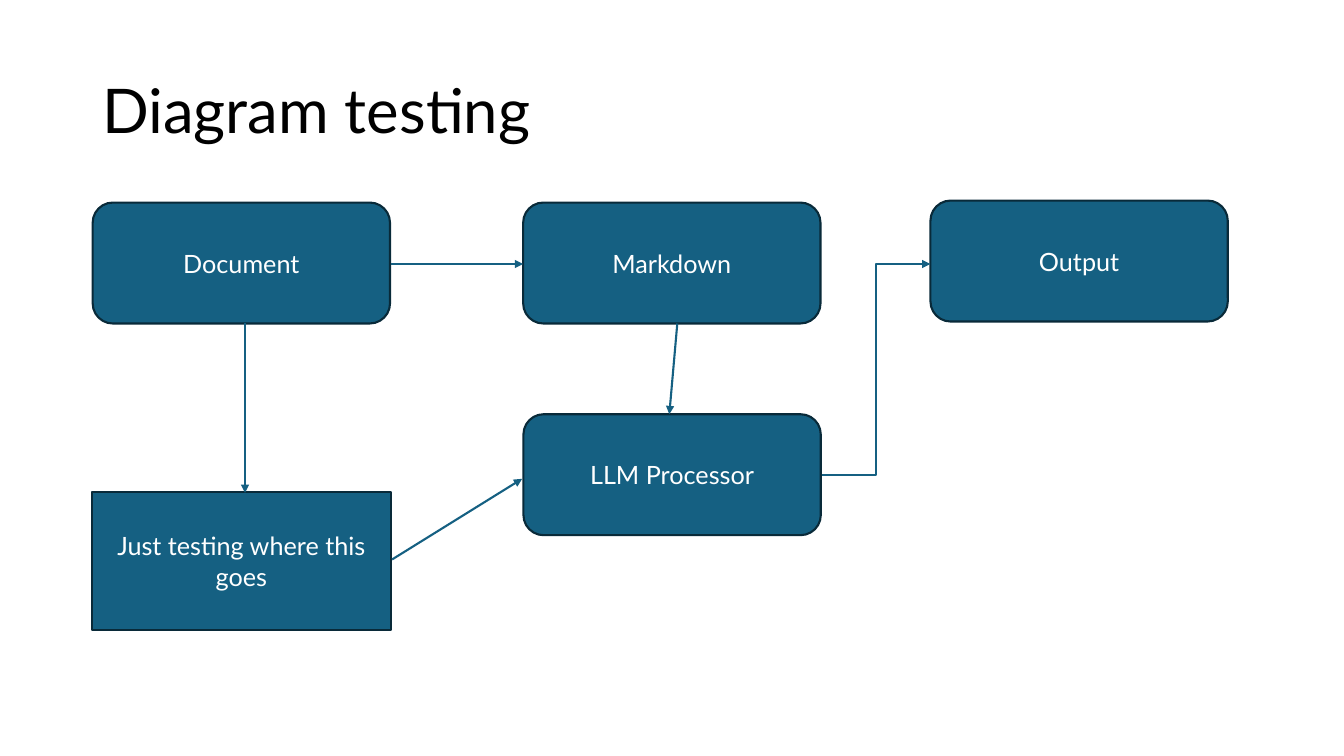
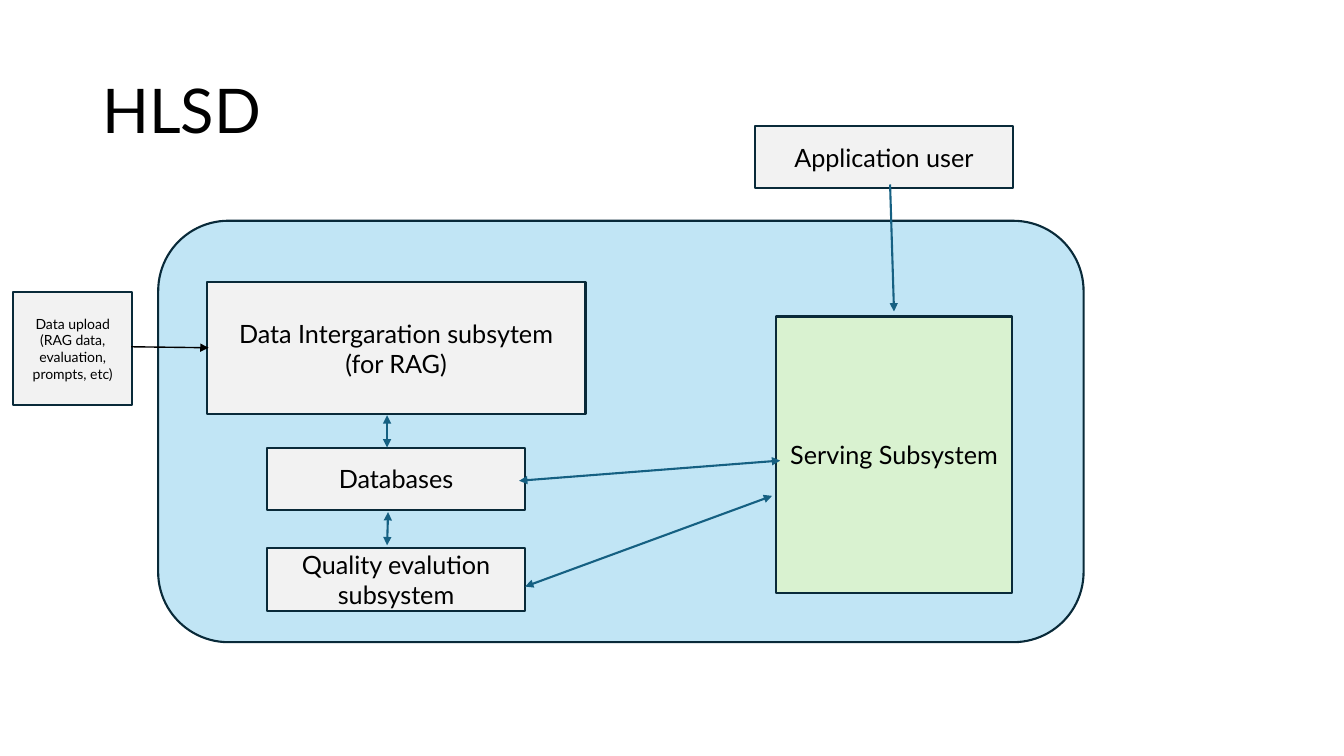
"""Build two diagram slides made of labelled boxes and arrows."""
from dataclasses import dataclass

from lxml.etree import SubElement
from pptx import Presentation
from pptx.dml.color import RGBColor
from pptx.enum.shapes import MSO_CONNECTOR, MSO_SHAPE
from pptx.enum.text import MSO_ANCHOR, PP_ALIGN
from pptx.oxml.ns import qn
from pptx.slide import Slide
from pptx.text.text import TextFrame
from pptx.util import Pt

FONT = "Lato"
BLACK, WHITE = "000000", "FFFFFF"
TEAL, NAVY = "156082", "092A39"
SKY, GREY, MINT = "C1E5F5", "F2F2F2", "D9F2D0"
LINE_WIDTH = 1.5
STEP_WIDTH, STEP_HEIGHT = 212.4, 86.4
PART_WIDTH, PART_HEIGHT = 184.3, 44.6


@dataclass(frozen=True)
class Box:
    text: str
    left: float
    top: float
    width: float = PART_WIDTH
    height: float = PART_HEIGHT
    fill: str = GREY
    text_color: str = BLACK
    size: float = 18
    rounded: bool = False


@dataclass(frozen=True)
class Arrow:
    start: tuple[float, float]
    end: tuple[float, float]
    double: bool = False
    elbow: bool = False
    color: str = TEAL
    width: float = LINE_WIDTH


@dataclass(frozen=True)
class Diagram:
    title: str
    boxes: list[Box]
    arrows: list[Arrow]


def step(text: str, left: float, top: float) -> Box:
    return Box(text, left, top, STEP_WIDTH, STEP_HEIGHT, TEAL, WHITE, rounded=True)


DIAGRAMS = [
    Diagram(
        "Diagram testing",
        [
            step("Document", 66.2, 144.7),
            step("Markdown", 373.7, 144.7),
            step("LLM Processor", 373.9, 295.9),
            step("Output", 664.6, 143.3),
            Box("Just testing where this goes", 65.5, 351.4, 213.8, 98.6, TEAL, WHITE),
        ],
        [
            Arrow((279.4, 188.6), (373.7, 188.6)),
            Arrow((483.8, 231.1), (478.1, 295.9)),
            Arrow((587.5, 339.1), (664.6, 188.6), elbow=True),
            Arrow((175, 230.4), (175, 352.1)),
            Arrow((280.1, 399.6), (373, 342)),
        ],
    ),
    Diagram(
        "HLSD",
        [
            Box("", 113, 157.7, 661, 301, SKY, rounded=True),
            Box("Data Intergaration subsytem\n(for RAG)", 147.6, 201.6, 270.7, 94.3),
            Box("Databases", 190.8, 319.7),
            Box("Quality evalution subsystem", 190.8, 391.7),
            Box("Serving Subsystem", 554.4, 226.1, 168.5, 197.3, MINT),
            Box("Application user", 539.3, 90),
            Box("Data upload (RAG data, evaluation, prompts, etc)", 9.4, 208.8, 85, 80.6, size=10),
        ],
        [
            Arrow((93.6, 247.7), (149, 248.4), color=BLACK, width=1),
            Arrow((276.5, 296.6), (276.5, 319.7), double=True),
            Arrow((277.2, 365.8), (276.5, 389.5), double=True),
            Arrow((551.5, 354.2), (375.1, 419), double=True),
            Arrow((557.3, 329), (370.8, 343.4), double=True),
            Arrow((635.8, 131.8), (638.6, 222.5)),
        ],
    ),
]


def rgb(color: str) -> RGBColor:
    return RGBColor.from_string(color)


def write_text(
    text_frame: TextFrame, text: str, size: float, color: str,
    alignment: PP_ALIGN, line_spacing: float = 1.0,
) -> None:
    text_frame.word_wrap = True
    text_frame.vertical_anchor = MSO_ANCHOR.MIDDLE
    text_frame.text = text
    for paragraph in text_frame.paragraphs:
        paragraph.alignment = alignment
        paragraph.line_spacing = line_spacing
        for run in paragraph.runs:
            run.font.name = FONT
            run.font.size = Pt(size)
            run.font.color.rgb = rgb(color)


def draw_title(slide: Slide, title: str) -> None:
    shape = slide.shapes.add_textbox(Pt(66), Pt(28.8), Pt(828), Pt(104.4))
    write_text(shape.text_frame, title, 44, BLACK, PP_ALIGN.LEFT, 0.9)


def draw_box(slide: Slide, box: Box) -> None:
    kind = MSO_SHAPE.ROUNDED_RECTANGLE if box.rounded else MSO_SHAPE.RECTANGLE
    shape = slide.shapes.add_shape(
        kind, Pt(box.left), Pt(box.top), Pt(box.width), Pt(box.height)
    )
    shape.shadow.inherit = False
    shape.fill.solid()
    shape.fill.fore_color.rgb = rgb(box.fill)
    shape.line.color.rgb = rgb(NAVY)
    shape.line.width = Pt(LINE_WIDTH)
    if box.text:
        write_text(shape.text_frame, box.text, box.size, box.text_color, PP_ALIGN.CENTER)


def draw_arrow(slide: Slide, arrow: Arrow) -> None:
    kind = MSO_CONNECTOR.ELBOW if arrow.elbow else MSO_CONNECTOR.STRAIGHT
    points = [Pt(value) for value in (*arrow.start, *arrow.end)]
    connector = slide.shapes.add_connector(kind, *points)
    connector.line.color.rgb = rgb(arrow.color)
    connector.line.width = Pt(arrow.width)
    properties = connector.element.spPr
    line = properties.find(qn("a:ln"))
    for tag in ("a:headEnd", "a:tailEnd") if arrow.double else ("a:tailEnd",):
        SubElement(line, qn(tag), type="triangle")
    SubElement(properties, qn("a:effectLst"))


def main() -> None:
    presentation = Presentation()
    presentation.slide_width, presentation.slide_height = Pt(960), Pt(540)
    blank_layout = presentation.slide_layouts[6]
    for diagram in DIAGRAMS:
        slide = presentation.slides.add_slide(blank_layout)
        draw_title(slide, diagram.title)
        for box in diagram.boxes:
            draw_box(slide, box)
        for arrow in diagram.arrows:
            draw_arrow(slide, arrow)
    presentation.save("out.pptx")


if __name__ == "__main__":
    main()
